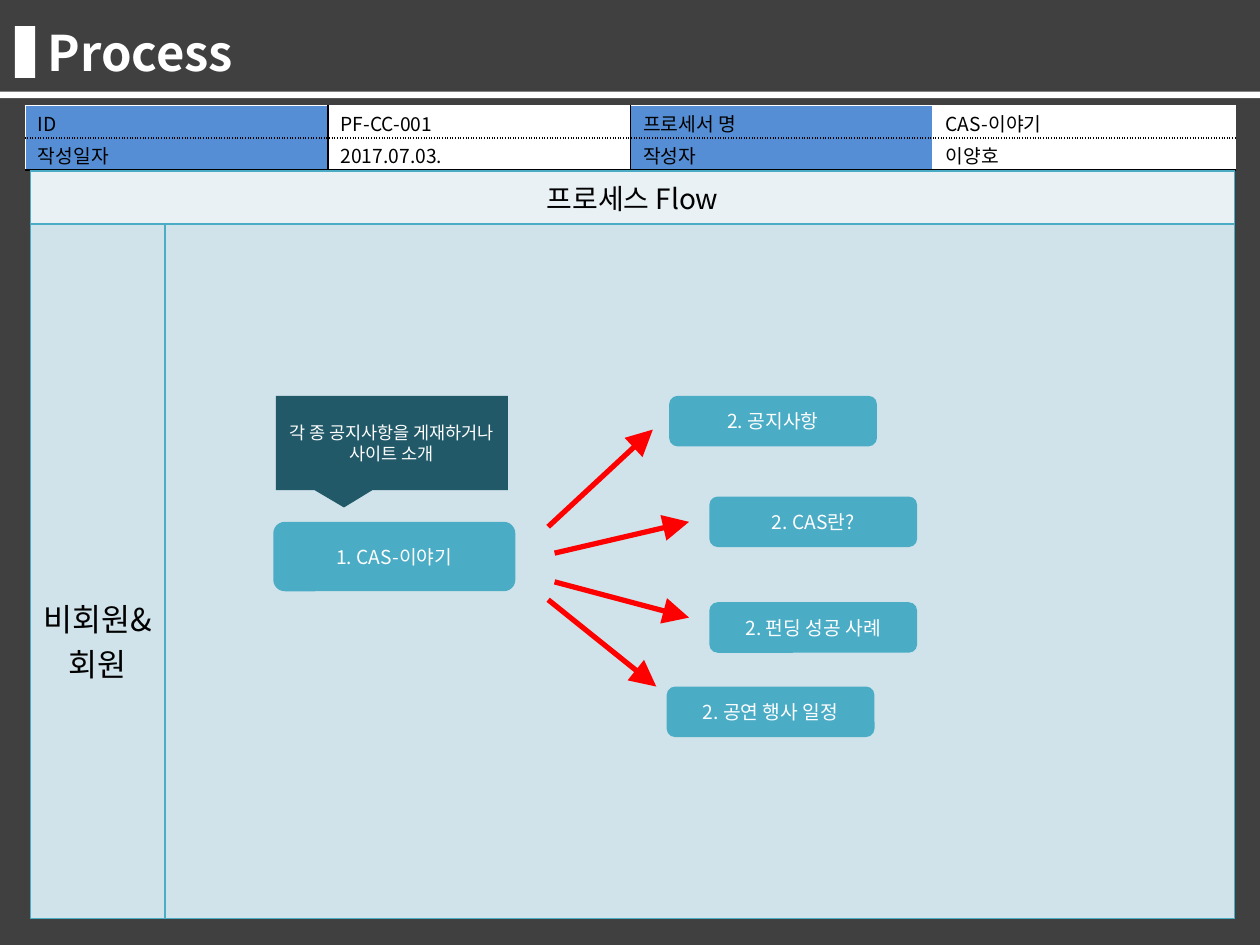
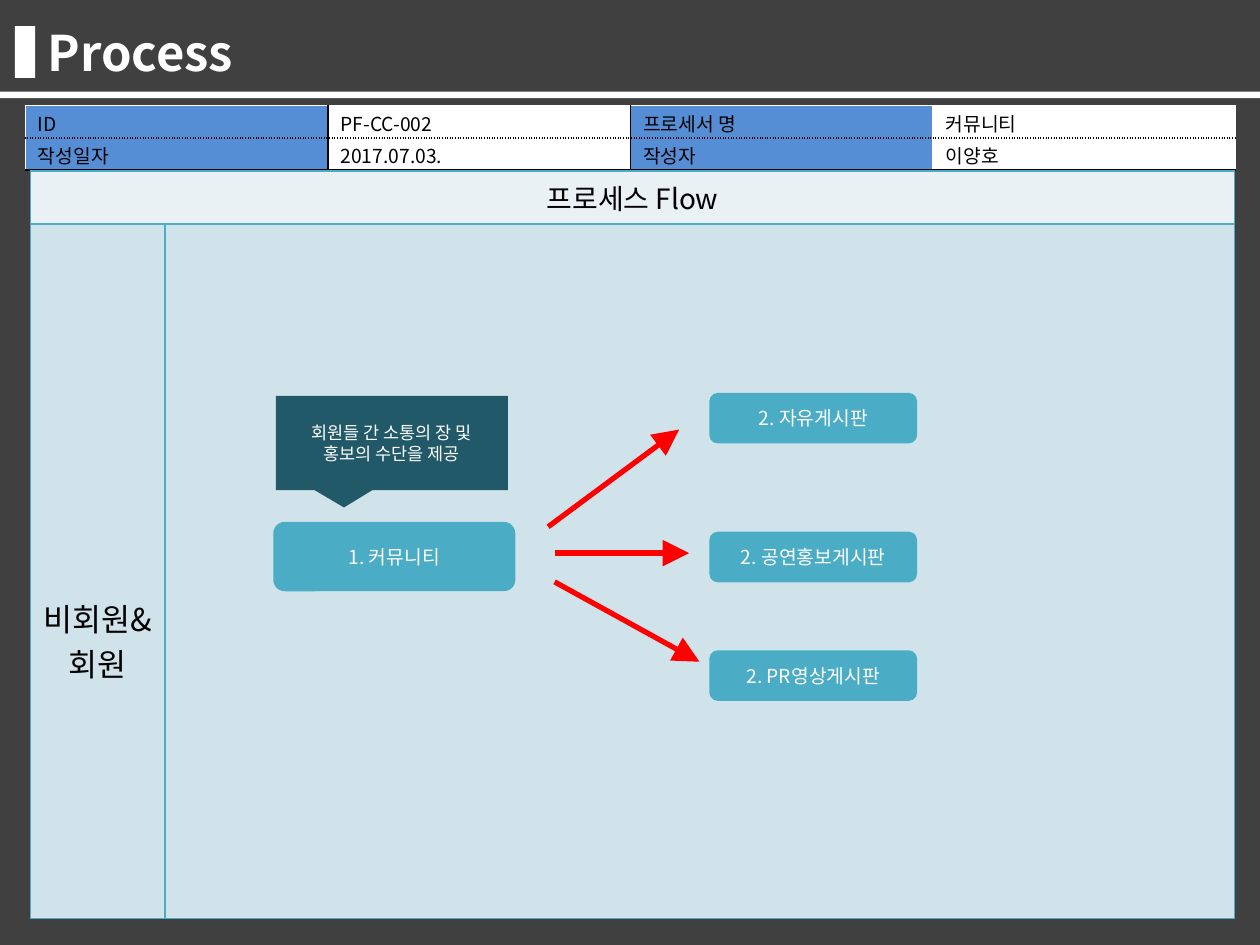
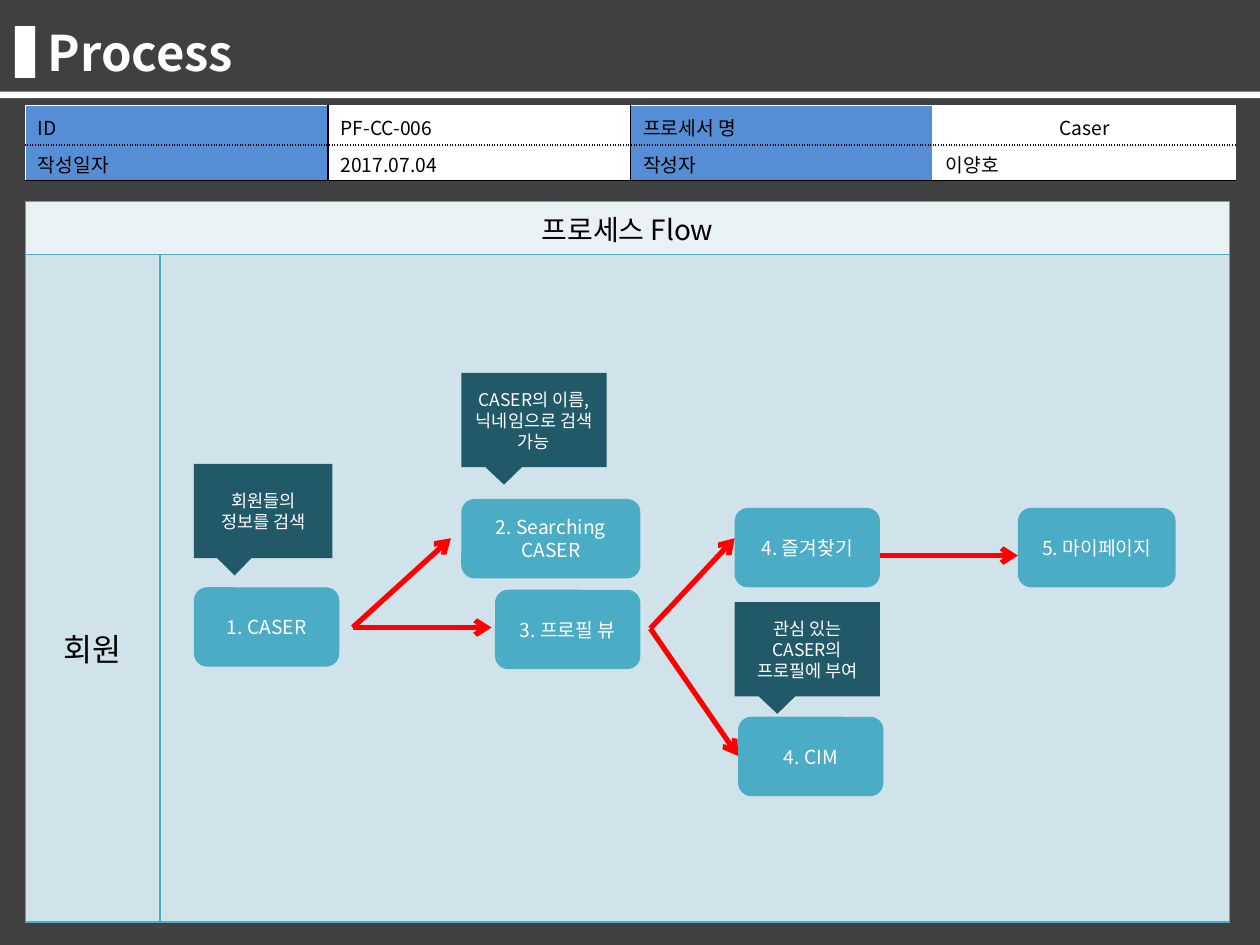
from lxml import etree
from pptx import Presentation
from pptx.dml.color import RGBColor
from pptx.enum.shapes import MSO_CONNECTOR, MSO_SHAPE
from pptx.enum.text import MSO_ANCHOR, MSO_AUTO_SIZE, PP_ALIGN
from pptx.oxml.ns import qn
from pptx.util import Cm, Pt

# Shared style
FONT = "Noto Sans CJK KR"
DARK, WHITE, BLACK, RED = "404040", "FFFFFF", "000000", "FF0000"
LABEL, TEAL, CALLOUT = "558ED5", "4BACC6", "215968"
FLOW_HEAD, FLOW_BODY = "E9F1F5", "D0E3EA"
TITLE = "Process"
FLOW_TITLE = "프로세스 Flow"
PAGE_W, PAGE_H = 25.4, 19.05
INFO_LEFT, INFO_TOP, INFO_COL = 0.51, 2.13, 6.1
FLOW_COLS, FLOW_HEAD_H = (2.72, 21.56), 1.07
ACTOR_TOP = 7.47  # gap above the actor name
MAIN, BRANCH, STEP = (4.88, 1.4), (4.19, 1.02), (2.93, 1.6)
CALLOUT_H = 1.9

# Content: lengths in cm; nodes are (text, left, top, size),
# callouts (text, left, top, width), arrows (x1, y1, x2, y2),
# head is (type, size)
SLIDES = [
    dict(
        info=("PF-CC-001", "CAS-이야기", "2017.07.03.", "이양호"),
        info_rows=(0.65, 0.65), name_align=PP_ALIGN.LEFT,
        flow=(0.61, 3.45, 14.0), actors=["비회원&", "회원"],
        nodes=[("1. CAS-이야기", 5.51, 10.52, MAIN),
               ("2. 공지사항", 13.49, 7.98, BRANCH),
               ("2. CAS란?", 14.3, 10.01, BRANCH),
               ("2. 펀딩 성공 사례", 14.3, 12.14, BRANCH),
               ("2. 공연 행사 일정", 13.44, 13.84, BRANCH)],
        callouts=[("각 종 공지사항을 게재하거나 사이트 소개", 5.56, 7.98, 4.68)],
        head=("triangle", "lg"),
        arrows=[(11.05, 10.62, 13.16, 8.66), (11.18, 11.15, 13.89, 10.52),
                (11.18, 11.73, 13.89, 12.45), (11.05, 12.09, 13.23, 13.84)],
    ),
    dict(
        info=("PF-CC-002", "커뮤니티", "2017.07.03.", "이양호"),
        info_rows=(0.65, 0.65), name_align=PP_ALIGN.LEFT,
        flow=(0.61, 3.45, 14.0), actors=["비회원&", "회원"],
        nodes=[("1. 커뮤니티", 5.51, 10.52, MAIN),
               ("2. 자유게시판", 14.3, 7.92, BRANCH),
               ("2. 공연홍보게시판", 14.3, 10.72, BRANCH),
               ("2. PR영상게시판", 14.3, 13.11, BRANCH)],
        callouts=[("회원들 간 소통의 장 및 홍보의 수단을 제공", 5.56, 7.98, 4.68)],
        head=("triangle", "lg"),
        arrows=[(11.05, 10.62, 13.69, 8.66), (11.18, 11.15, 13.89, 11.15),
                (11.18, 11.73, 14.1, 13.34)],
    ),
    dict(
        info=("PF-CC-006", "Caser", "2017.07.04", "이양호"),
        info_rows=(0.79, 0.72), name_align=PP_ALIGN.CENTER,
        flow=(0.51, 4.06, 13.46), actors=["회원"],
        nodes=[("1. CASER", 3.91, 11.84, STEP),
               ("2. Searching CASER", 9.3, 10.06, (3.61, 1.6)),
               ("3. 프로필 뷰", 9.98, 11.89, STEP),
               ("4. 즐겨찾기", 14.81, 10.24, STEP),
               ("4. CIM", 14.88, 14.45, STEP),
               ("5. 마이페이지", 20.52, 10.24, (3.18, 1.6))],
        callouts=[("회원들의 정보를 검색", 3.91, 9.35, 2.79),
                  ("CASER의 이름, 닉네임으로 검색 가능", 9.3, 7.52, 2.93),
                  ("관심 있는 CASER의 프로필에 부여", 14.81, 12.14, 2.93)],
        head=("arrow", "med"),
        arrows=[(7.11, 12.65, 9.09, 10.85), (7.11, 12.65, 9.91, 12.65),
                (13.11, 12.67, 14.88, 15.24), (13.11, 12.67, 14.81, 10.85),
                (17.73, 11.2, 20.52, 11.2)],
    ),
]


# Helpers
def rgb(color):
    return RGBColor.from_string(color)


def write(tf, lines, size, color, align=PP_ALIGN.LEFT, bold=False):
    tf.text = "\n".join(lines)
    for p in tf.paragraphs:
        p.alignment = align
        for r in p.runs:
            r.font.size, r.font.bold, r.font.name = Pt(size), bold, FONT
            r.font.color.rgb = rgb(color)
            ea = etree.SubElement(r.font._element, qn("a:ea"))
            ea.set("typeface", FONT)


def add_box(s, kind, left, top, width, height, color):
    sp = s.shapes.add_shape(kind, Cm(left), Cm(top), Cm(width), Cm(height))
    sp.shadow.inherit = False
    sp.fill.solid()
    sp.fill.fore_color.rgb = rgb(color)
    sp.line.fill.background()
    return sp


def add_label(sp, text, size):
    tf = sp.text_frame
    tf.word_wrap = True
    tf.vertical_anchor = MSO_ANCHOR.MIDDLE
    write(tf, [text], size, WHITE, PP_ALIGN.CENTER)


def add_arrow(s, x1, y1, x2, y2, head):
    kind, size = head
    line = s.shapes.add_connector(MSO_CONNECTOR.STRAIGHT, Cm(x1), Cm(y1), Cm(x2), Cm(y2))
    line.line.color.rgb = rgb(RED)
    line.line.width = Pt(3)
    etree.SubElement(line.line._get_or_add_ln(), qn("a:tailEnd"),
                     type=kind, w=size, len=size)
    etree.SubElement(line._element.spPr, qn("a:effectLst"))


def add_grid(s, left, top, cols, rows):
    frame = s.shapes.add_table(len(rows), len(cols), Cm(left), Cm(top),
                               Cm(sum(cols)), Cm(sum(rows)))
    table = frame.table
    table.first_row = table.horz_banding = False
    for column, width in zip(table.columns, cols):
        column.width = Cm(width)
    for row, height in zip(table.rows, rows):
        row.height = Cm(height)
    return table


def style_cell(cell, fill, borders):
    """Borders are (color, dash) for left, right, top and bottom."""
    tc_pr = cell._tc.get_or_add_tcPr()
    for side, (color, dash) in zip("LRTB", borders):
        ln = etree.SubElement(tc_pr, qn("a:ln" + side), w=str(Pt(1)))
        solid = etree.SubElement(ln, qn("a:solidFill"))
        etree.SubElement(solid, qn("a:srgbClr"), val=color)
        etree.SubElement(ln, qn("a:prstDash"), val=dash)
    cell.fill.solid()
    cell.fill.fore_color.rgb = rgb(fill)


# Slide parts
def add_frame(s):
    add_box(s, MSO_SHAPE.RECTANGLE, 0, 0, PAGE_W, PAGE_H, DARK)
    title = s.shapes.title
    title.element.getparent().append(title.element)  # in front of the backdrop
    title.left, title.top, title.width, title.height = Cm(0.71), Cm(0.33), Cm(22.81), Cm(1.45)
    title.text_frame.vertical_anchor = MSO_ANCHOR.MIDDLE
    title.text_frame.auto_size = MSO_AUTO_SIZE.NONE
    write(title.text_frame, [TITLE], 28, WHITE, bold=True)
    add_box(s, MSO_SHAPE.RECTANGLE, 0.3, 0.53, 0.41, 1.04, WHITE)
    add_box(s, MSO_SHAPE.RECTANGLE, 0, 1.85, PAGE_W, 0.13, WHITE)


def add_info(s, info, rows, name_align):
    code, name, date, author = info
    texts = [("ID", code, "프로세서 명", name), ("작성일자", date, "작성자", author)]
    upright = [(c, "solid") for c in (WHITE, BLACK, BLACK, WHITE, WHITE)]
    level = [(WHITE, "solid"), (BLACK, "sysDot"), (BLACK, "solid")]
    table = add_grid(s, INFO_LEFT, INFO_TOP, [INFO_COL] * 4, rows)
    for i, row in enumerate(texts):
        for j, text in enumerate(row):
            cell = table.cell(i, j)
            cell.vertical_anchor = MSO_ANCHOR.MIDDLE
            cell.margin_top, cell.margin_bottom = Cm(0.05), Cm(0)
            align = name_align if (i, j) == (0, 3) else PP_ALIGN.LEFT
            write(cell.text_frame, [text], 11, BLACK, align)
            style_cell(cell, WHITE if j % 2 else LABEL,
                       (upright[j], upright[j + 1], level[i], level[i + 1]))


def add_flow(s, left, top, body_height, actors):
    table = add_grid(s, left, top, FLOW_COLS, (FLOW_HEAD_H, body_height))
    for i, fill in enumerate((FLOW_HEAD, FLOW_BODY)):
        for j in range(2):
            style_cell(table.cell(i, j), fill, [(TEAL, "solid")] * 4)
    table.cell(0, 0).merge(table.cell(0, 1))
    write(table.cell(0, 0).text_frame, [FLOW_TITLE], 16, BLACK, PP_ALIGN.CENTER)
    actor = table.cell(1, 0)
    actor.margin_top = Cm(ACTOR_TOP)
    write(actor.text_frame, actors, 18, BLACK, PP_ALIGN.CENTER)


# Build
prs = Presentation()
prs.slide_width, prs.slide_height = Cm(PAGE_W), Cm(PAGE_H)
for page in SLIDES:
    s = prs.slides.add_slide(prs.slide_layouts[5])
    add_frame(s)
    add_info(s, page["info"], page["info_rows"], page["name_align"])
    add_flow(s, *page["flow"], page["actors"])
    for text, left, top, size in page["nodes"]:
        add_label(add_box(s, MSO_SHAPE.ROUNDED_RECTANGLE, left, top, *size, TEAL), text, 11)
    for text, left, top, width in page["callouts"]:
        sp = add_box(s, MSO_SHAPE.RECTANGULAR_CALLOUT, left, top, width, CALLOUT_H, CALLOUT)
        sp.adjustments[0], sp.adjustments[1] = -0.206, 0.685
        add_label(sp, text, 10)
    for arrow in page["arrows"]:
        add_arrow(s, *arrow, page["head"])
prs.save("out.pptx")
